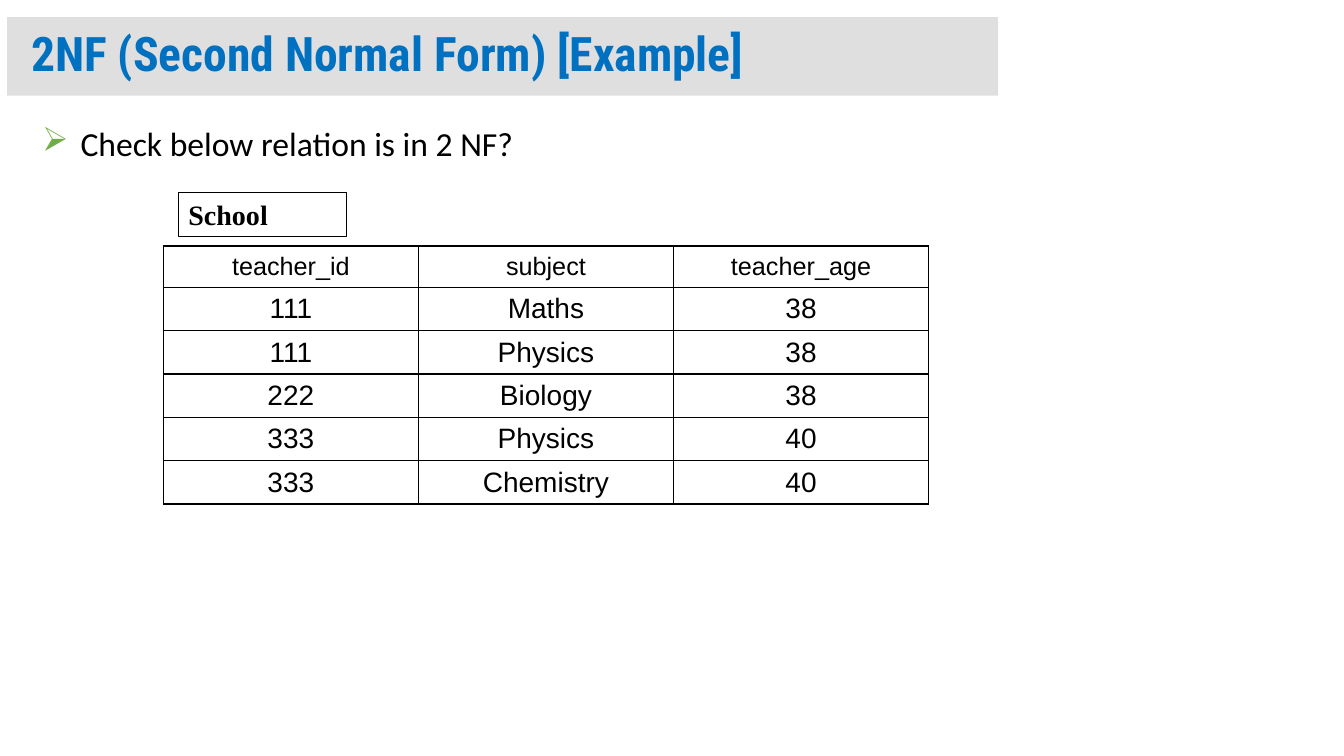
from dataclasses import dataclass

from lxml import etree
from pptx import Presentation
from pptx.dml.color import RGBColor
from pptx.enum.shapes import MSO_SHAPE
from pptx.enum.text import MSO_ANCHOR, MSO_AUTO_SIZE, PP_ALIGN
from pptx.oxml.ns import qn
from pptx.util import Inches, Pt

RECT = MSO_SHAPE.RECTANGLE
TOP, MIDDLE = MSO_ANCHOR.TOP, MSO_ANCHOR.MIDDLE
LEFT, CENTER, JUSTIFY = PP_ALIGN.LEFT, PP_ALIGN.CENTER, PP_ALIGN.JUSTIFY
NO_FIT = MSO_AUTO_SIZE.NONE


@dataclass(frozen=True)
class Theme:
    black: str = "000000"
    white: str = "FFFFFF"
    blue: str = "0070C0"
    green: str = "70AD47"
    grey: str = "C0C0C0"
    title: int = 34
    body: int = 24
    cell: int = 20
    header: int = 18
    line: int = 1


THEME = Theme()

ROWS = [
    ("teacher_id", "subject", "teacher_age"),
    ("111", "Maths", "38"),
    ("111", "Physics", "38"),
    ("222", "Biology", "38"),
    ("333", "Physics", "40"),
    ("333", "Chemistry", "40"),
]


def rgb(value):
    return RGBColor.from_string(value)


def set_attrs(obj, values):
    for name, value in values.items():
        setattr(obj, name, value)


def margins(x, y):
    return {
        "margin_left": Inches(x), "margin_right": Inches(x),
        "margin_top": Inches(y), "margin_bottom": Inches(y),
    }


def place(sp, left, top, width, height):
    set_attrs(sp, {
        "left": Inches(left), "top": Inches(top),
        "width": Inches(width), "height": Inches(height),
    })


def write(tf, text, font, size, color=THEME.black, bold=False, **paragraph):
    p = tf.paragraphs[0]
    set_attrs(p, paragraph)
    r = p.add_run()
    r.text = text
    set_attrs(r.font, {"name": font, "size": Pt(size), "bold": bold})
    r.font.color.rgb = rgb(color)


def format_frame(tf, anchor, x, y):
    set_attrs(tf, {"word_wrap": True, "auto_size": NO_FIT,
                   "vertical_anchor": anchor, **margins(x, y)})


def add_title(s, text):
    sp = s.shapes.title
    place(sp, 0.07, 0.17, 9.83, 0.78)
    sp.fill.solid()
    sp.fill.fore_color.rgb = rgb(THEME.grey)
    color = sp.fill._xPr.find(f".//{qn('a:srgbClr')}")
    etree.SubElement(color, qn("a:alpha"), val="50000")
    format_frame(sp.text_frame, MIDDLE, 0.24, 0.12)
    write(sp.text_frame, text, "Roboto Condensed", THEME.title, THEME.blue, True,
          alignment=LEFT, line_spacing=0.9)


def add_bullet(s, text):
    sp = s.shapes.add_textbox(Inches(0.32), Inches(1.22), Inches(12.65), Inches(5.83))
    tf = sp.text_frame
    format_frame(tf, TOP, 0.1, 0.05)
    pPr = tf.paragraphs[0]._p.get_or_add_pPr()
    pPr.set("marL", str(Inches(0.38)))
    pPr.set("indent", str(-Inches(0.38)))
    bullet_color = etree.SubElement(pPr, qn("a:buClr"))
    etree.SubElement(bullet_color, qn("a:srgbClr"), val=THEME.green)
    etree.SubElement(pPr, qn("a:buChar"), char="➢")
    write(tf, text, "Calibri", THEME.body, alignment=JUSTIFY, line_spacing=0.9)


def add_relation_name(s, text):
    sp = s.shapes.add_shape(RECT, Inches(1.77), Inches(1.91), Inches(1.67), Inches(0.44))
    sp.shadow.inherit = False
    sp.fill.solid()
    sp.fill.fore_color.rgb = rgb(THEME.white)
    sp.line.color.rgb = rgb(THEME.black)
    sp.line.width = Pt(THEME.line)
    format_frame(sp.text_frame, TOP, 0.1, 0.05)
    write(sp.text_frame, text, "Times New Roman", THEME.cell, bold=True, alignment=LEFT)


def set_borders(cell):
    tcPr = cell._tc.get_or_add_tcPr()
    for index, side in enumerate(("lnL", "lnR", "lnT", "lnB")):
        ln = etree.Element(qn(f"a:{side}"), w=str(Pt(THEME.line)))
        fill = etree.SubElement(ln, qn("a:solidFill"))
        etree.SubElement(fill, qn("a:srgbClr"), val=THEME.black)
        tcPr.insert(index, ln)


def add_relation(s, rows):
    frame = s.shapes.add_table(len(rows), len(rows[0]), Inches(1.62), Inches(2.44),
                               Inches(7.59), Inches(2.56))
    table = frame.table
    set_attrs(table, {"first_row": False, "horz_banding": False})
    for column in table.columns:
        column.width = Inches(2.53)
    for i, values in enumerate(rows):
        table.rows[i].height = Inches(0.43 if i else 0.41)
        size = THEME.cell if i else THEME.header
        for j, text in enumerate(values):
            cell = table.cell(i, j)
            cell.fill.background()
            set_borders(cell)
            set_attrs(cell, {"vertical_anchor": MIDDLE, **margins(0.1, 0.06)})
            write(cell.text_frame, text, "Arial", size, alignment=CENTER)


def main():
    prs = Presentation()
    set_attrs(prs, {"slide_width": Inches(13.33), "slide_height": Inches(7.5)})
    s = prs.slides.add_slide(prs.slide_layouts.get_by_name("Title Only"))
    add_title(s, "2NF (Second Normal Form) [Example]")
    add_bullet(s, "Check below relation is in 2 NF?")
    add_relation(s, ROWS)
    add_relation_name(s, "School")
    prs.save("out.pptx")


if __name__ == "__main__":
    main()
